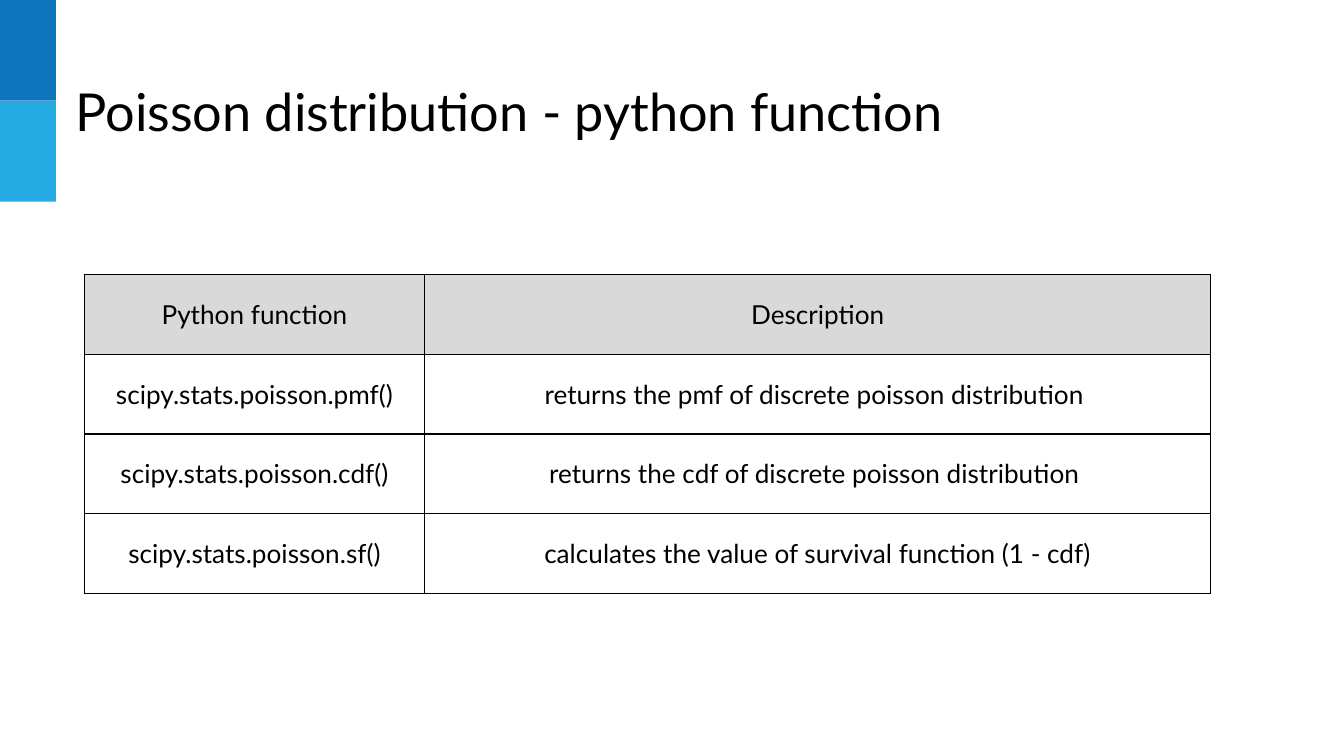
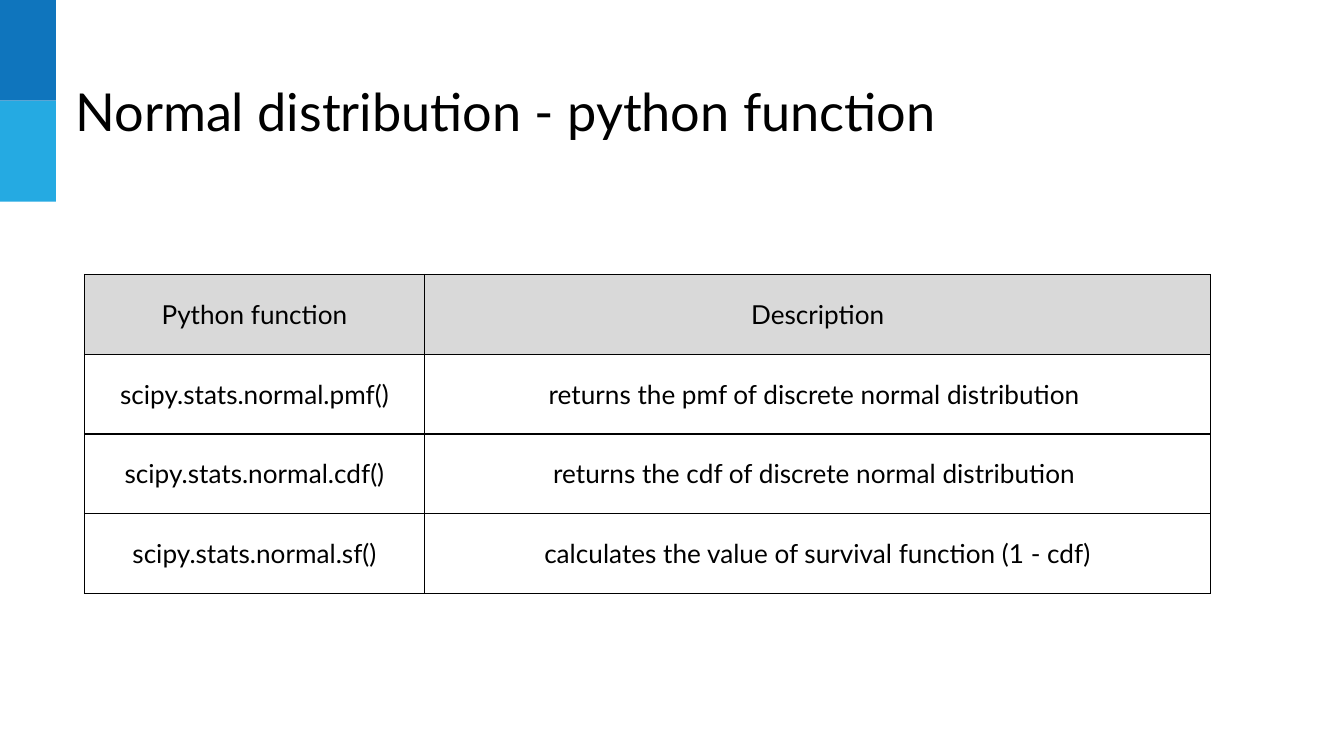
from lxml import etree
from pptx import Presentation
from pptx.dml.color import RGBColor
from pptx.enum import shapes, text
from pptx.oxml import ns
from pptx.util import Pt

BLUE = RGBColor(0x0F, 0x75, 0xBD)
SKY = RGBColor(0x25, 0xAA, 0xE2)
BLACK = RGBColor(0, 0, 0)
HEADER_GREY = RGBColor(0xD9, 0xD9, 0xD9)
FONT = "Lato"
INSET = Pt(7.2)


def write(frame, words, size, align=text.PP_ALIGN.LEFT, color=BLACK):
    paragraph = frame.paragraphs[0]
    paragraph.alignment = align
    run = paragraph.add_run()
    run.text = words
    run.font.name = FONT
    run.font.size = Pt(size)
    run.font.bold = False
    run.font.color.rgb = color


def draw_borders(cell, color=BLACK, width=0.75):
    properties = cell._tc.get_or_add_tcPr()
    for side in ("lnL", "lnR", "lnT", "lnB"):
        line = etree.SubElement(properties, ns.qn(f"a:{side}"), w=str(Pt(width)))
        fill = etree.SubElement(line, ns.qn("a:solidFill"))
        etree.SubElement(fill, ns.qn("a:srgbClr"), val=str(color))


class Deck:
    """Shared style and the slide being built."""

    def __init__(self):
        self.presentation = Presentation()
        self.presentation.slide_width = Pt(720)
        self.presentation.slide_height = Pt(405)
        self.slide = None

    def new_slide(self, title):
        blank = self.presentation.slide_layouts[6]
        self.slide = self.presentation.slides.add_slide(blank)
        # Two stacked bands in the top left corner
        for row, color in enumerate((BLUE, SKY)):
            self.band(row * 54, color)
        self.title(title)

    def band(self, top, color):
        band = self.slide.shapes.add_shape(
            shapes.MSO_SHAPE.RECTANGLE, Pt(0), Pt(top), Pt(30), Pt(54))
        band.shadow.inherit = False
        band.fill.solid()
        band.fill.fore_color.rgb = color
        band.line.fill.background()

    def title(self, words):
        box = self.slide.shapes.add_textbox(Pt(33.4), Pt(35.3), Pt(530.6), Pt(45.4))
        frame = box.text_frame
        frame.word_wrap = True
        frame.margin_left = frame.margin_right = INSET
        frame.margin_top = frame.margin_bottom = INSET
        write(frame, words, 28)

    def table(self, rows, left=45.3, top=147, widths=(182.2, 421.2), row_height=42.75):
        table = self.slide.shapes.add_table(
            len(rows), len(widths), Pt(left), Pt(top),
            Pt(sum(widths)), Pt(row_height * len(rows))).table
        table.first_row = table.horz_banding = False
        for column, width in zip(table.columns, widths):
            column.width = Pt(width)
        for r, row in enumerate(rows):
            table.rows[r].height = Pt(row_height)
            for c, words in enumerate(row):
                self.cell(table.cell(r, c), words, is_header=r == 0)

    def cell(self, cell, words, is_header):
        cell.margin_left = cell.margin_right = INSET
        cell.margin_top = cell.margin_bottom = INSET
        cell.vertical_anchor = text.MSO_ANCHOR.MIDDLE
        draw_borders(cell)
        if is_header:
            cell.fill.solid()
            cell.fill.fore_color.rgb = HEADER_GREY
        else:
            cell.fill.background()
        write(cell.text_frame, words, 14, align=text.PP_ALIGN.CENTER)


def main():
    deck = Deck()
    # One slide of functions per distribution
    for distribution in ("poisson", "normal"):
        deck.new_slide(f"{distribution.capitalize()} distribution - python function")
        descriptions = {
            "pmf": f"returns the pmf of discrete {distribution} distribution ",
            "cdf": f"returns the cdf of discrete {distribution} distribution ",
            "sf": "calculates the value of survival function (1 - cdf)",
        }
        deck.table([("Python function", "Description")] + [
            (f"scipy.stats.{distribution}.{function}()", description)
            for function, description in descriptions.items()])
    deck.presentation.save("out.pptx")


if __name__ == "__main__":
    main()
